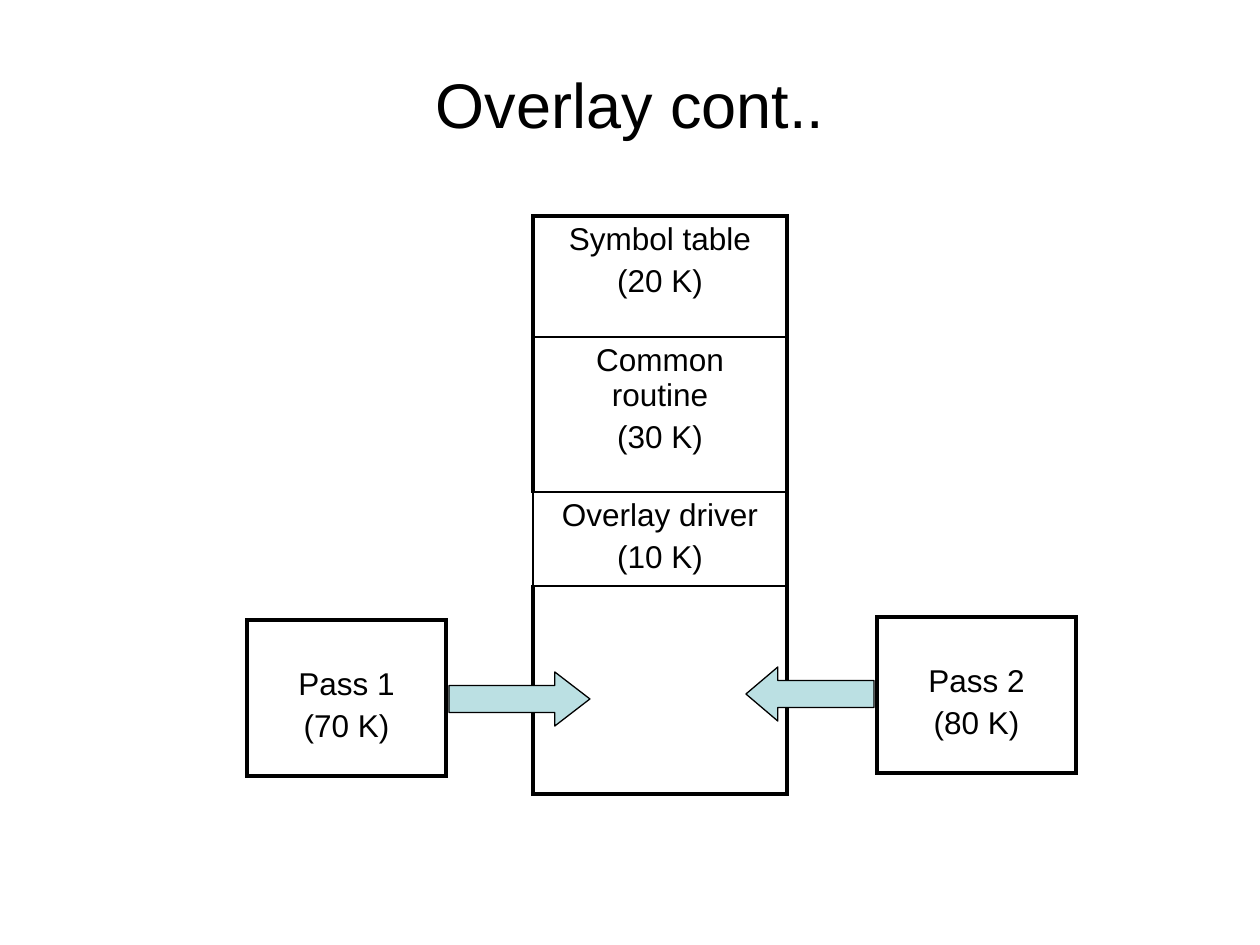
from lxml.etree import SubElement as Sub
from pptx import Presentation
from pptx.dml.color import RGBColor as RGB
from pptx.enum.shapes import MSO_SHAPE as Kind
from pptx.enum.text import MSO_ANCHOR as Anchor, PP_ALIGN as Align
from pptx.oxml.ns import qn
from pptx.util import Pt

PX = 914400 // 126
COLORS = {"ink": "000000", "arrow": "BBE0E3"}
THIN, THICK = 1, 2.25

# Content: lines, row height, borders (left, right, top, bottom)
TITLE = "Overlay cont.."
MEMORY = [
    (["Symbol table", "(20 K)"], 121, (THICK, THICK, THICK, THIN)),
    (["Common routine", "(30 K)"], 155, (THICK, THICK, THIN, THIN)),
    (["Overlay driver", "(10 K)"], 90, (THIN, THICK, THIN, THIN)),
    ([], 208, (THICK, THICK, THIN, THICK)),
]
# Lines, left, top
PASSES = [
    (["Pass 1", "(70 K)"], 247, 620),
    (["Pass 2", "(80 K)"], 877, 617),
]
# Shape, box, head length
ARROWS = [
    (Kind.RIGHT_ARROW, (449, 672, 141, 54), 0.65),
    (Kind.LEFT_ARROW, (746, 667, 128, 54), 0.59),
]

deck = Presentation()
deck.slide_width, deck.slide_height = 1260 * PX, 945 * PX
slide = deck.slides.add_slide(deck.slide_layouts[6])
shapes = slide.shapes


def scale(box):
    return [n * PX for n in box]


def color(name):
    return RGB.from_string(COLORS[name])


def write(frame, lines, size=18, gap=3.6):
    frame.word_wrap = True
    for i, line in enumerate(lines):
        para = frame.paragraphs[0] if i == 0 else frame.add_paragraph()
        para.text = line
        para.alignment = Align.CENTER
        para.space_before = Pt(gap if i else 0)
        para.font.size = Pt(size)
        para.font.name = "Arial"
        para.font.color.rgb = color("ink")


def border(cell, widths):
    props = cell._tc.get_or_add_tcPr()
    for side, width in zip("LRTB", widths):
        line = Sub(props, qn(f"a:ln{side}"), w=str(Pt(width)))
        fill = Sub(line, qn("a:solidFill"))
        Sub(fill, qn("a:srgbClr"), val=COLORS["ink"])


def table(rows, left, top, width, pad=6):
    high = sum(row[1] for row in rows)
    frame = shapes.add_table(len(rows), 1, *scale((left, top, width, high)))
    grid = frame.table
    grid.first_row = grid.horz_banding = False
    for i, (lines, height, widths) in enumerate(rows):
        grid.rows[i].height = height * PX
        cell = grid.cell(i, 0)
        cell.margin_top = pad * PX
        border(cell, widths)
        cell.fill.background()
        write(cell.text_frame, lines)


# Title
head = shapes.add_textbox(*scale((63, 67, 1134, 73))).text_frame
head.vertical_anchor = Anchor.MIDDLE
write(head, [TITLE], size=36)

# Memory column and the two passes
table(MEMORY, 533, 216, 254)
for lines, left, top in PASSES:
    table([(lines, 156, (THICK,) * 4)], left, top, 199, pad=47)

# Arrows into the shared area
for kind, box, tip in ARROWS:
    arrow = shapes.add_shape(kind, *scale(box))
    arrow.adjustments[0], arrow.adjustments[1] = 0.5, tip
    arrow.shadow.inherit = False
    arrow.fill.solid()
    arrow.fill.fore_color.rgb = color("arrow")
    arrow.line.color.rgb = color("ink")
    arrow.line.width = Pt(0.75)

deck.save("out.pptx")
